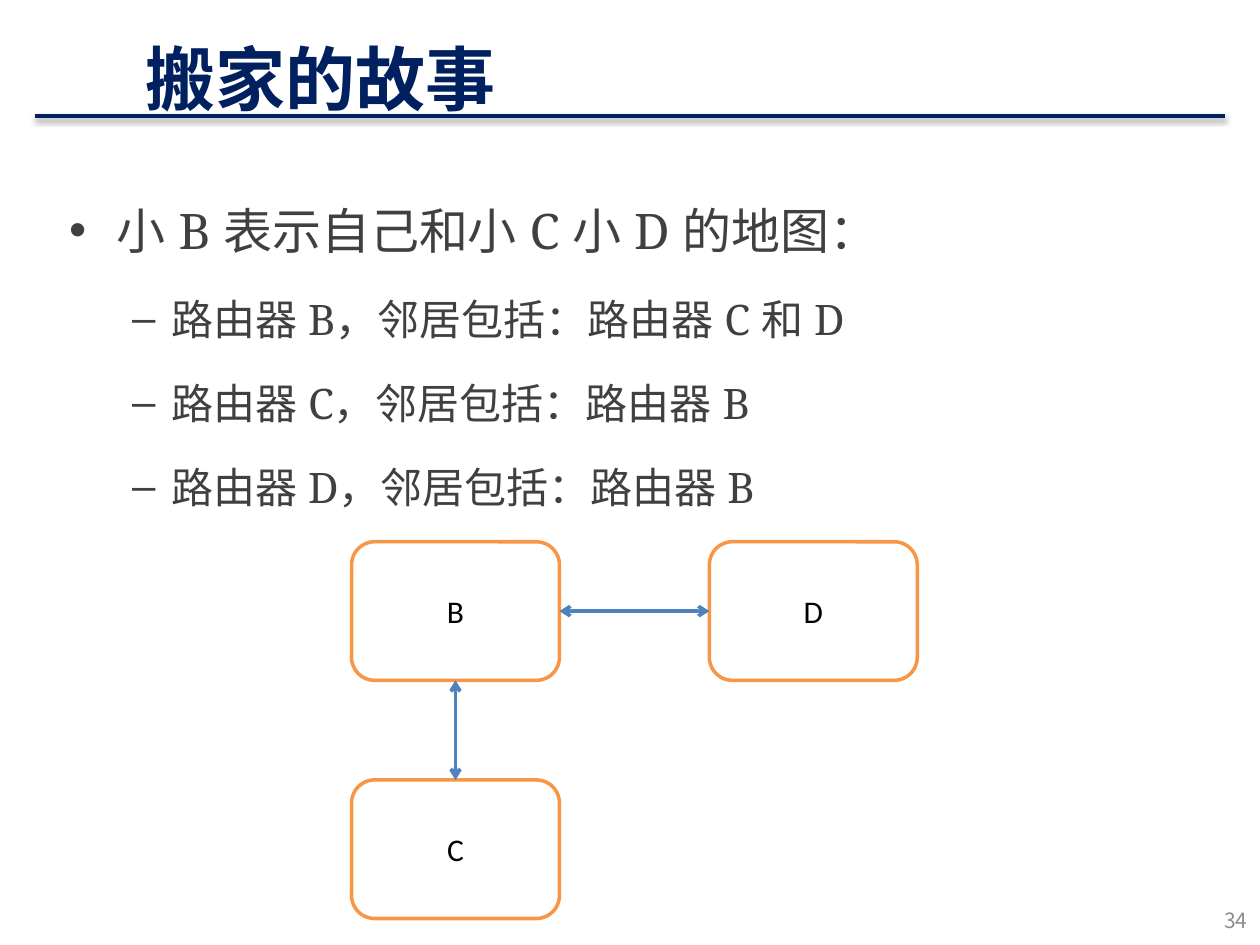
from lxml.etree import SubElement
from pptx import Presentation
from pptx.dml.color import RGBColor
from pptx.enum.shapes import MSO_CONNECTOR as Line, MSO_SHAPE as Shape
from pptx.enum.text import MSO_ANCHOR as Anchor, PP_ALIGN as Align
from pptx.oxml.ns import qn
from pptx.util import Inches, Pt

NAVY, GREY, ORANGE, BLUE = "002060", "404040", "F79646", "4F81BD"


def color(value):
    return RGBColor.from_string(value)


def add_node(parent, tag, **values):
    return SubElement(parent, qn(tag), {key: str(val) for key, val in values.items()})


def add_span(para, text, face, tint, **formats):
    span = para.add_run()
    span.text = text
    span.font.name = face
    span.font.color.rgb = color(tint)
    for key, value in formats.items():
        setattr(span.font, key, value)
    add_node(span.font._element, "a:ea", typeface=face)


def add_text_box(page, box, anchor=Anchor.TOP):
    frame = page.shapes.add_textbox(*map(Inches, box)).text_frame
    frame.word_wrap = True
    frame.vertical_anchor = anchor
    return frame


def add_line(page, start, end, tint, width):
    line = page.shapes.add_connector(Line.STRAIGHT, *map(Inches, start + end))
    line.line.color.rgb = color(tint)
    line.line.width = Pt(width)
    effects = add_node(line._element.spPr, "a:effectLst")
    return line, effects


def add_header(page, box):
    # Rule with a soft shadow below it
    _, effects = add_line(page, (0.28, 0.92), (9.72, 0.92), NAVY, 2.5)
    shadow = add_node(effects, "a:outerShdw", blurRad=Pt(3.1), dist=Pt(1.8),
                      dir=90 * 60000, rotWithShape=0)
    add_node(add_node(shadow, "a:srgbClr", val="000000"), "a:alpha", val=35000)
    # Title
    para = add_text_box(page, box, Anchor.MIDDLE).paragraphs[0]
    para.line_spacing = 1.5
    add_span(para, "搬家的故事", "Comic Neue", NAVY, size=Pt(40), bold=True)


def add_bullets(page, box):
    # Per level: left margin, hanging indent, bullet, text size
    levels = [(0.38, 0.38, "•", 28), (0.81, 0.31, "–", 24)]
    lines = [
        (0, "小 B 表示自己和小 C 小 D 的地图："),
        (1, "路由器 B，邻居包括：路由器 C 和 D"),
        (1, "路由器 C，邻居包括：路由器 B"),
        (1, "路由器 D，邻居包括：路由器 B"),
    ]
    frame = add_text_box(page, box)
    for index, (level, text) in enumerate(lines):
        margin, hang, bullet, size = levels[level]
        para = frame.add_paragraph() if index else frame.paragraphs[0]
        para.level = level
        para.line_spacing = 1.5
        props = para._p.get_or_add_pPr()
        props.set("marL", str(Inches(margin)))
        props.set("indent", str(-Inches(hang)))
        if index:
            add_node(add_node(props, "a:spcBef"), "a:spcPct", val=20000)
        add_node(props, "a:buFont", typeface="Arial")
        add_node(props, "a:buChar", char=bullet)
        add_span(para, text, "Noto Serif", GREY, size=Pt(size))


def add_router(page, box, name):
    router = page.shapes.add_shape(Shape.ROUNDED_RECTANGLE, *map(Inches, box))
    router.shadow.inherit = False
    router.fill.solid()
    router.fill.fore_color.rgb = color("FFFFFF")
    router.line.color.rgb = color(ORANGE)
    router.line.width = Pt(2)
    router.text_frame.vertical_anchor = Anchor.MIDDLE
    para = router.text_frame.paragraphs[0]
    para.alignment = Align.CENTER
    add_span(para, name, "Calibri", "000000", size=Pt(18))
    return router


def add_link(page, first, first_side, second, second_side):
    link, _ = add_line(page, (0, 0), (0, 0), BLUE, 2)
    link.begin_connect(first, first_side)
    link.end_connect(second, second_side)
    for tag in ("a:headEnd", "a:tailEnd"):
        add_node(link.line._get_or_add_ln(), tag, type="arrow")


def add_router_map(page, box):
    left, top, width, height = box
    size = (1.65, 1.1)
    right, bottom = left + width - size[0], top + height - size[1]
    spots = {"B": (left, top), "C": (left, bottom), "D": (right, top)}
    routers = {name: add_router(page, spot + size, name) for name, spot in spots.items()}
    add_link(page, routers["B"], 2, routers["C"], 0)
    add_link(page, routers["B"], 3, routers["D"], 1)


def add_page_number(page, box):
    para = add_text_box(page, box, Anchor.MIDDLE).paragraphs[0]
    para.alignment = Align.RIGHT
    add_span(para, "34", "Noto Sans CJK SC", "8C8C8C", size=Pt(12))


def main():
    deck = Presentation()
    deck.slide_width, deck.slide_height = Inches(10), Inches(7.5)
    page = deck.slides.add_slide(deck.slide_layouts[6])
    add_header(page, (1.06, 0.05, 8.25, 0.79))
    add_bullets(page, (0.45, 1.31, 9, 4.95))
    add_page_number(page, (7.67, 7.1, 2.33, 0.4))
    add_router_map(page, (2.79, 4.3, 4.49, 2.99))
    deck.save("out.pptx")


if __name__ == "__main__":
    main()
